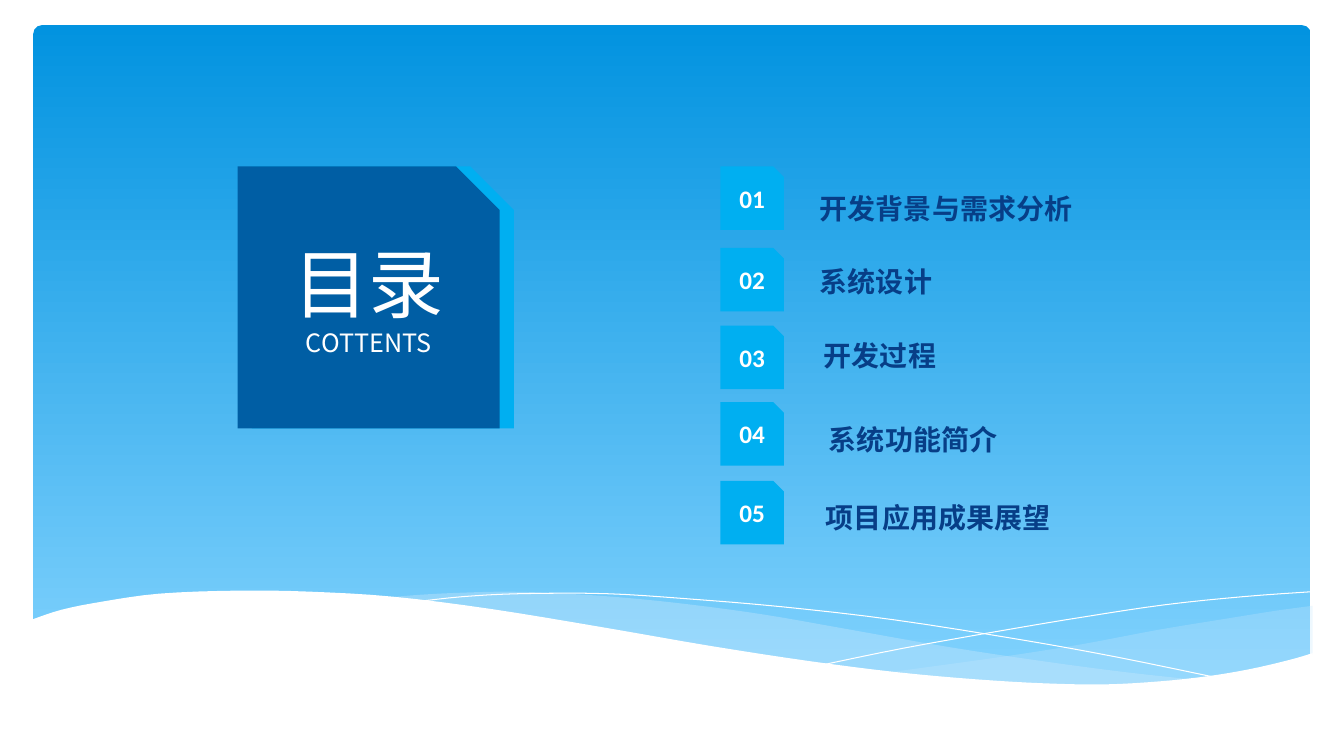
from dataclasses import dataclass
from typing import Any

from lxml.etree import SubElement
from pptx import Presentation
from pptx.dml.color import RGBColor
from pptx.enum.shapes import MSO_SHAPE
from pptx.enum.text import MSO_ANCHOR, MSO_AUTO_SIZE, PP_ALIGN
from pptx.oxml.ns import qn
from pptx.util import Emu, Pt

Point = tuple[float, float]
Points = tuple[Point, ...]

COLUMNS, ROWS = 13.34, 7.5
CELL = 914400
SNIP = 1 / 6
CURVE_STEPS = 4
CHINESE_FONT, NUMBER_FONT = "Noto Sans CJK SC", "Calibri"
WHITE, CYAN, BLUE, NAVY, MIST = "FFFFFF", "00AFF1", "005EA4", "073E87", "C6E7FC"


@dataclass(frozen=True)
class Wave:
    crest: Points
    trough: Points = ()
    color: str = WHITE
    opacity: int = 100


@dataclass(frozen=True)
class Card:
    column: float
    row: float
    size: float
    color: str


@dataclass(frozen=True)
class Chapter:
    title: str
    card_row: float
    title_column: float
    title_row: float
    title_width: float


WAVES = (
    Wave(
        ((8.83, 6.67), (9.42, 6.59), (10.06, 6.5), (10.75, 6.39),
         (11.49, 6.25), (12.1, 6.15), (12.66, 6.06), (13.03, 6.01)),
        ((13.03, 6.49), (12.67, 6.59), (12.29, 6.67), (11.87, 6.74), (11.4, 6.78),
         (10.86, 6.8), (10.27, 6.79), (9.59, 6.74), (8.83, 6.67)),
        MIST, 29,
    ),
    Wave(
        ((3.82, 5.93), (4.18, 5.9), (4.59, 5.88), (5.07, 5.87), (5.61, 5.89),
         (6.2, 5.93), (6.87, 6), (7.6, 6.1), (8.4, 6.24), (9.42, 6.42),
         (10.35, 6.56), (11.18, 6.67), (11.92, 6.75)),
        ((11.92, 6.75), (11.45, 6.79), (10.92, 6.8), (10.32, 6.79), (9.64, 6.76),
         (8.88, 6.68), (8.03, 6.57), (7.07, 6.42), (6, 6.24), (5.11, 6.09),
         (4.31, 5.98), (3.82, 5.93)),
        MIST, 40,
    ),
    Wave(((4.13, 5.97), (4.59, 5.92), (5.17, 5.89), (6.01, 5.89), (6.81, 5.94),
          (7.76, 6.02), (8.88, 6.15), (10.15, 6.35), (11.09, 6.52), (12.11, 6.73))),
    Wave(((8.19, 6.59), (8.97, 6.43), (9.98, 6.25), (10.76, 6.12),
          (11.56, 6), (12.33, 5.92), (13.02, 5.87))),
    Wave(
        ((0.31, 6.15), (0.61, 6.05), (1.01, 5.97), (1.58, 5.89), (2.35, 5.86),
         (3.07, 5.87), (3.9, 5.92), (4.86, 6.04), (5.96, 6.22), (7.06, 6.41),
         (8.04, 6.56), (8.91, 6.67), (9.69, 6.74), (10.37, 6.78), (10.97, 6.79),
         (11.51, 6.76), (11.98, 6.71), (12.4, 6.64), (12.79, 6.55), (13.03, 6.48)),
        ((13.03, 7.31), (0.31, 7.31)),
    ),
)

CHAPTERS = (
    Chapter("开发背景与需求分析", 1.65, 8.04, 1.85, 4.36),
    Chapter("系统设计", 2.46, 8.04, 2.57, 4.61),
    Chapter("开发过程", 3.23, 8.08, 3.31, 2.21),
    Chapter("系统功能简介", 3.99, 8.13, 4.14, 3.41),
    Chapter("项目应用成果展望", 4.77, 8.1, 4.92, 3.19),
)

HEADING = {"name": CHINESE_FONT, "size": Pt(54), "bold": False}
SUBHEADING = {"name": CHINESE_FONT, "size": Pt(18), "bold": False}
NUMBER = {"name": NUMBER_FONT, "size": Pt(18), "bold": True}
TITLE = {"name": CHINESE_FONT, "size": Pt(20), "bold": True}


def cells(count: float) -> Emu:
    return Emu(round(count * CELL))


def paint(color_format: Any, color: str) -> None:
    color_format.rgb = RGBColor.from_string(color)


def set_all(target: Any, values: dict[str, Any]) -> None:
    for name, value in values.items():
        setattr(target, name, value)


def smooth_curve(knots: Points) -> Points:
    if len(knots) < 3:
        return knots
    padded = (knots[0], *knots, knots[-1])
    curve = []
    for before, start, end, after in zip(padded, padded[1:], padded[2:], padded[3:]):
        for step in range(CURVE_STEPS):
            t = step / CURVE_STEPS
            curve.append(tuple(
                (2 * b + (c - a) * t + (2 * a - 5 * b + 4 * c - d) * t**2
                 + (3 * b - a - 3 * c + d) * t**3) / 2
                for a, b, c, d in zip(before, start, end, after)
            ))
    return (*curve, knots[-1])


def draw_outline(page: Any, points: Points, closed: bool) -> Any:
    first, *others = [(cells(x), cells(y)) for x, y in points]
    builder = page.shapes.build_freeform(*first, scale=1.0)
    builder.add_line_segments(others, close=closed)
    shape = builder.convert_to_shape()
    shape.shadow.inherit = False
    return shape


def fill_plain(shape: Any, color: str, opacity: int = 100) -> None:
    shape.fill.solid()
    paint(shape.fill.fore_color, color)
    shape.line.fill.background()
    if opacity < 100:
        tint = next(shape.fill._xPr.iter(qn("a:srgbClr")))
        SubElement(tint, qn("a:alpha")).set("val", str(opacity * 1000))


def draw_sky(page: Any) -> None:
    sky = page.shapes.add_shape(
        MSO_SHAPE.ROUNDED_RECTANGLE, cells(0.33), cells(0.25), cells(12.68), cells(6.6))
    sky.adjustments[0] = 0.013
    sky.shadow.inherit = False
    sky.line.fill.background()
    sky.fill.gradient()
    sky.fill.gradient_angle = 270
    for stop, position, color in zip(sky.fill.gradient_stops, (0, 1), ("0293E0", "83D3FE")):
        stop.position = position
        paint(stop.color, color)


def draw_wave(page: Any, wave: Wave) -> None:
    closed = bool(wave.trough)
    shape = draw_outline(page, smooth_curve(wave.crest) + smooth_curve(wave.trough), closed)
    if closed:
        fill_plain(shape, wave.color, wave.opacity)
    else:
        shape.fill.background()
        paint(shape.line.color, wave.color)
        shape.line.width = Pt(0)


def draw_card(page: Any, card: Card) -> Any:
    left, top = card.column, card.row
    right, bottom = left + card.size, top + card.size
    cut = card.size * SNIP
    corners = ((left, top), (right - cut, top), (right, top + cut), (right, bottom), (left, bottom))
    shape = draw_outline(page, corners, True)
    fill_plain(shape, card.color)
    set_all(shape.text_frame, {"word_wrap": True, "vertical_anchor": MSO_ANCHOR.MIDDLE})
    return shape


def write(para: Any, text: str, style: dict[str, Any], color: str, alignment: PP_ALIGN) -> None:
    para.alignment = alignment
    span = para.add_run()
    span.text = text
    set_all(span.font, style)
    paint(span.font.color, color)
    SubElement(span.font._element, qn("a:ea")).set("typeface", style["name"])


def draw_chapter(page: Any, number: int, chapter: Chapter) -> None:
    card = draw_card(page, Card(7.15, chapter.card_row, 0.63, CYAN))
    write(card.text_frame.paragraphs[0], f"{number:02}", NUMBER, WHITE, PP_ALIGN.CENTER)
    box = page.shapes.add_textbox(
        cells(chapter.title_column), cells(chapter.title_row), cells(chapter.title_width), cells(0.44))
    set_all(box.text_frame, {"word_wrap": True, "auto_size": MSO_AUTO_SIZE.SHAPE_TO_FIT_TEXT})
    write(box.text_frame.paragraphs[0], chapter.title, TITLE, NAVY, PP_ALIGN.LEFT)


def main() -> None:
    deck = Presentation()
    set_all(deck, {"slide_width": cells(COLUMNS), "slide_height": cells(ROWS)})
    page = deck.slides.add_slide(deck.slide_layouts[6])
    draw_sky(page)
    for wave in WAVES:
        draw_wave(page, wave)
    draw_card(page, Card(2.5, 1.65, 2.6, CYAN))
    cover = draw_card(page, Card(2.36, 1.65, 2.6, BLUE)).text_frame
    write(cover.paragraphs[0], "目录", HEADING, WHITE, PP_ALIGN.CENTER)
    write(cover.add_paragraph(), "COTTENTS", SUBHEADING, WHITE, PP_ALIGN.CENTER)
    for number, chapter in enumerate(CHAPTERS, 1):
        draw_chapter(page, number, chapter)
    deck.save("out.pptx")


if __name__ == "__main__":
    main()
